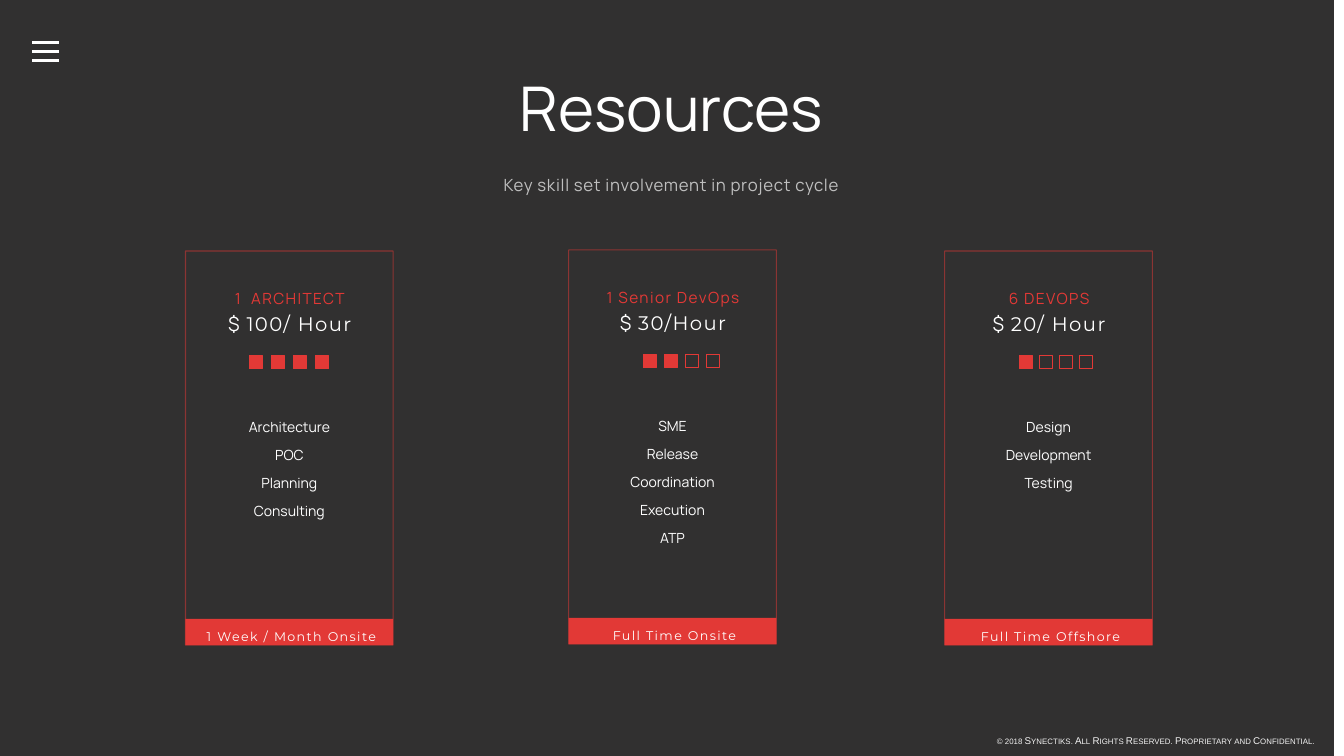
from lxml import etree
from pptx import Presentation
from pptx.dml.color import RGBColor
from pptx.enum import shapes, text
from pptx.oxml import ns
from pptx.util import Inches, Pt

RED, WHITE, GREY, PALE, DARK = "E23936", "FFFFFF", "BFBFBF", "F2F2F2", "181717"
MAIN, ALT = "Manrope", "Montserrat"

# left, top, role, rate, tasks, term, squares filled, first square, pitch
CARDS = [
    (1.84, 2.49, "1  ARCHITECT", "100/ Hour",
     ["Architecture", "POC", "Planning", "Consulting"],
     "1 Week / Month Onsite", 4, 0.63, 0.22),
    (5.64, 2.48, "1 Senior DevOps", "30/Hour",
     ["SME", "Release", "Coordination", "Execution", "ATP"],
     "Full Time Onsite", 2, 0.74, 0.21),
    (9.37, 2.49, "6 DEVOPS", "20/ Hour",
     ["Design", "Development", "Testing"],
     "Full Time Offshore", 1, 0.74, 0.2),
]


def paint(fill, value, alpha=None):
    """Make a fill solid in a hex colour, with opacity in percent if given."""
    fill.solid()
    fill.fore_color.rgb = RGBColor.from_string(value)
    if alpha:
        node = fill._xPr.find(".//" + ns.qn("a:srgbClr"))
        etree.SubElement(node, ns.qn("a:alpha")).set("val", str(alpha * 1000))


class Deck:
    """Holds the slide and draws its elements in one style."""

    def __init__(self):
        self.prs = Presentation()
        self.prs.slide_width = Inches(13.33)
        self.prs.slide_height = Inches(7.5)
        self.slide = self.prs.slides.add_slide(self.prs.slide_layouts[5])
        self.items = self.slide.shapes

    def rect(self, x, y, w, h, fill=None, line=None, width=0.75, alpha=None):
        box = self.items.add_shape(shapes.MSO_SHAPE.RECTANGLE,
                                   Inches(x), Inches(y), Inches(w), Inches(h))
        box.shadow.inherit = False
        if fill:
            paint(box.fill, fill, alpha)
        else:
            box.fill.background()
        if line:
            paint(box.line.fill, line, alpha)
            box.line.width = Pt(width)
        else:
            box.line.fill.background()

    def rule(self, x, y, w):
        line = self.items.add_connector(shapes.MSO_CONNECTOR.STRAIGHT,
                                        Inches(x), Inches(y), Inches(x + w), Inches(y))
        paint(line.line.fill, WHITE)
        line.line.width = Pt(2.25)
        etree.SubElement(line._element.spPr, ns.qn("a:effectLst"))

    def label(self, x, y, w, h, paras, lead=20, wrap=True, small=False):
        """Add a text box; each paragraph is a list of runs."""
        box = self.items.add_textbox(Inches(x), Inches(y), Inches(w), Inches(h))
        self.put(box.text_frame, paras, lead, wrap, small)

    def title(self, x, y, w, h, paras, lead):
        box = self.items.title
        box.left, box.top, box.width, box.height = map(Inches, (x, y, w, h))
        self.put(box.text_frame, paras, lead)
        # Keep the title above the dark panel.
        self.items._spTree.append(box._element)

    def put(self, frame, paras, lead, wrap=True, small=False):
        """Fill a frame with runs of (words, size, font, colour, tracking)."""
        frame.word_wrap = wrap
        frame.auto_size = text.MSO_AUTO_SIZE.NONE
        frame.vertical_anchor = text.MSO_ANCHOR.TOP
        for i, runs in enumerate(paras):
            para = frame.add_paragraph() if i else frame.paragraphs[0]
            para.space_before = Pt(0)
            if lead:
                para.alignment = text.PP_ALIGN.CENTER
                para.line_spacing = Pt(lead)
            for words, size, name, color, track in runs:
                run = para.add_run()
                run.text = words
                run.font.size = Pt(size)
                run.font.name = name
                paint(run.font.fill, color)
                if track:
                    run.font._element.set("spc", str(int(track * 100)))
                if small:
                    run.font._element.set("cap", "small")

    def card(self, x, y, role, rate, tasks, term, full, start, pitch):
        self.rect(x, y, 2.06, 3.91, line=RED, alpha=51)
        self.label(x - 0.07, y + 0.23, 2.21, 0.68, [
            [(role, 11, MAIN, RED, 1)],
            [("$ ", 14, MAIN, WHITE, 1), (rate, 14, ALT, WHITE, 1)],
        ])
        for i in range(4):
            self.rect(x + start + i * pitch, y + 1.04, 0.13, 0.13,
                      RED if i < full else None, RED, 0.5)
        self.label(x + 0.3, y + 1.5, 1.46, 1.87,
                   [[(task, 10, MAIN, WHITE, 0)] for task in tasks])
        self.rect(x, y + 3.65, 2.06, 0.26, RED)
        self.label(x + 0.03, y + 3.57, 2, 0.38,
                   [[(" ", 9, MAIN, WHITE, 1), (term, 9, ALT, WHITE, 1)]], wrap=False)


def main():
    deck = Deck()
    deck.rect(0, 0, 13.23, 7.5, DARK, alpha=89)
    deck.title(2.3, 0.88, 8.72, 1.11, [
        [("Resources", 44, MAIN, WHITE, 0)],
        [("Key skill set involvement in project cycle", 12, MAIN, GREY, 0.5)],
    ], 36)
    for card in CARDS:
        deck.card(*card)
    for i in range(3):
        deck.rule(0.32, 0.42 + i * 0.09, 0.27)
    deck.label(9.79, 7.24, 3.5, 0.22, [[(
        "© 2018 Synectiks. All Rights Reserved. Proprietary and Confidential.",
        7, "Arial", PALE, 0)]], lead=None, small=True)
    deck.prs.save("out.pptx")


if __name__ == "__main__":
    main()
